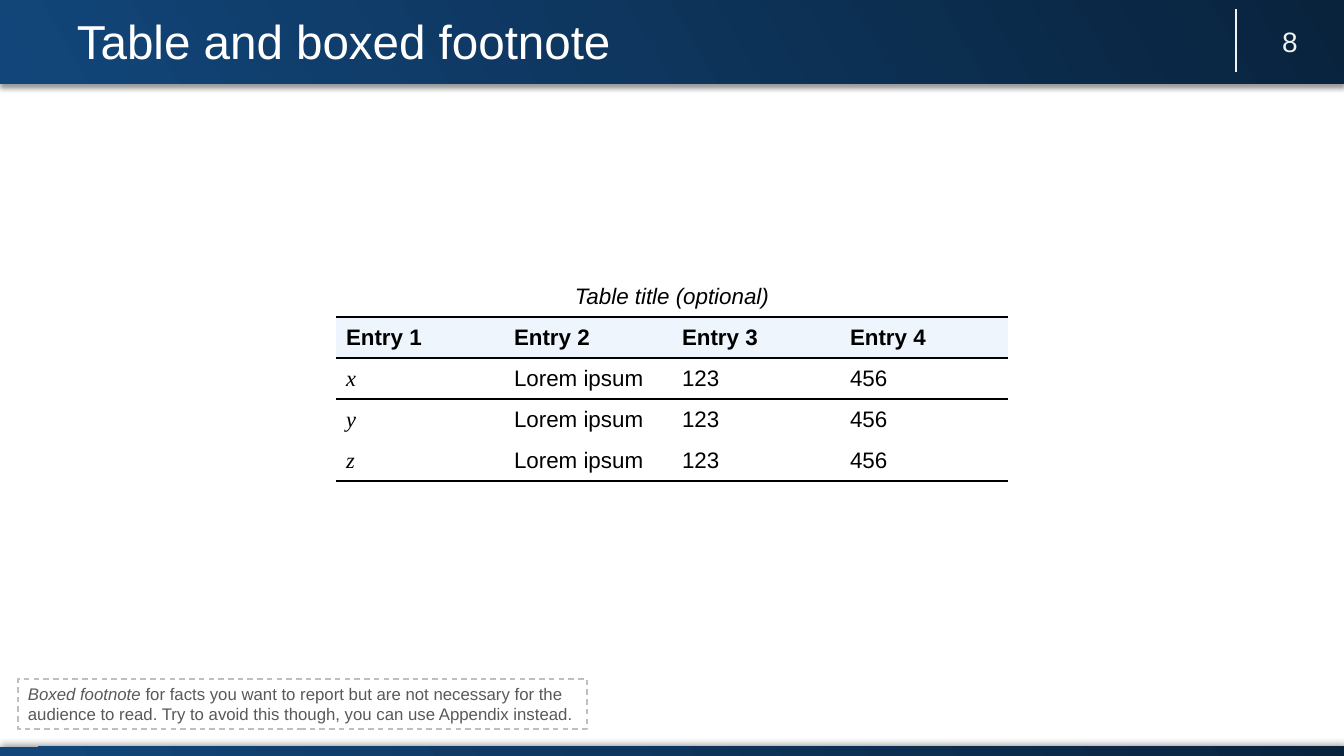
from lxml import etree
from pptx import Presentation
from pptx.dml.color import RGBColor
from pptx.enum.dml import MSO_LINE
from pptx.enum.shapes import MSO_CONNECTOR, MSO_SHAPE
from pptx.enum.text import MSO_ANCHOR, PP_ALIGN
from pptx.oxml import parse_xml
from pptx.oxml.ns import nsdecls, qn
from pptx.util import Pt

TITLE = "Table and boxed footnote"
PAGE = "8"
TABLE_TITLE = "Table title (optional)"
HEADERS = ["Entry 1", "Entry 2", "Entry 3", "Entry 4"]
ROWS = [[name, "Lorem ipsum", "123", "456"] for name in "xyz"]
FOOTNOTE = [
    ("Boxed footnote", True),
    (" for facts you want to report but are not necessary for the audience to read."
     " Try to avoid this though, you can use Appendix instead.", False),
]

SANS, SERIF = "Arial", "Times New Roman"
WHITE = RGBColor(0xFF, 0xFF, 0xFF)
BLACK = RGBColor(0, 0, 0)
BLUE = RGBColor(0x12, 0x46, 0x7A)
NAVY = RGBColor(0x09, 0x23, 0x3D)
PALE_BLUE = RGBColor(0xEE, 0xF5, 0xFC)
PALE_GRAY = RGBColor(0xF2, 0xF2, 0xF2)
BOX_GRAY = RGBColor(0xBF, 0xBF, 0xBF)
TEXT_GRAY = RGBColor(0x59, 0x59, 0x59)
DASH = MSO_LINE.DASH
LEFT, CENTER = PP_ALIGN.LEFT, PP_ALIGN.CENTER
TOP, MIDDLE = MSO_ANCHOR.TOP, MSO_ANCHOR.MIDDLE
NO_STYLE = "{2D5ABB26-0587-4C30-8999-92F81FD0307C}"

PX = 914400 / 100.8
WIDTH, HEIGHT = 1344, 756
COL_W, ROW_H = 168, 41
TABLE_X, TABLE_Y = (WIDTH - COL_W * len(HEADERS)) // 2, 276


def px(*values):
    return [round(v * PX) for v in values]


def style(r, size, color, name=SANS, bold=False, italic=False):
    f = r.font
    f.size, f.name, f.bold, f.italic = Pt(size), name, bold, italic
    f.color.rgb = color


def add_bar(slide, y, h, shadow_angle):
    """Full-width gradient band with a soft shadow."""
    sp = slide.shapes.add_shape(MSO_SHAPE.RECTANGLE, *px(0, y, WIDTH, h))
    sp.line.fill.background()
    sp.fill.gradient()
    sp.fill.gradient_angle = 330
    for stop, color, position in zip(sp.fill.gradient_stops, (BLUE, NAVY), (0, 1)):
        stop.color.rgb, stop.position = color, position
    props = sp._element.spPr
    props.find(qn("a:xfrm")).set("flipV", "1")
    props.append(parse_xml(
        f'<a:effectLst {nsdecls("a")}><a:outerShdw blurRad="{Pt(4)}" dist="{Pt(3)}"'
        f' dir="{shadow_angle * 60000}" algn="t" rotWithShape="0"><a:srgbClr val="000000">'
        '<a:alpha val="40000"/></a:srgbClr></a:outerShdw></a:effectLst>'))


def add_label(slide, box, text, size, color, align):
    tf = slide.shapes.add_textbox(*px(*box)).text_frame
    tf.word_wrap, tf.vertical_anchor = True, MIDDLE
    p = tf.paragraphs[0]
    p.text, p.alignment = text, align
    style(p.runs[0], size, color)
    return p


def add_border(cell, side):
    """Draw a black 1 pt rule on the side named lnT or lnB."""
    cell._tc.get_or_add_tcPr().insert(0, parse_xml(
        f'<a:{side} {nsdecls("a")} w="{Pt(1)}"><a:solidFill><a:srgbClr val="{BLACK}"/>'
        f'</a:solidFill></a:{side}>'))


def fill_cell(cell, text, align=LEFT, **font):
    cell.vertical_anchor = MIDDLE
    p = cell.text_frame.paragraphs[0]
    p.text, p.alignment = text, align
    style(p.runs[0], 16, BLACK, **font)


def add_entry_table(slide):
    grid = [HEADERS, *ROWS]
    n_rows, n_cols = len(grid) + 1, len(HEADERS)
    frame = slide.shapes.add_table(
        n_rows, n_cols, *px(TABLE_X, TABLE_Y, COL_W * n_cols, ROW_H * n_rows))
    table = frame.table
    table.first_row = table.horz_banding = False
    table._tbl.tblPr.find(qn("a:tableStyleId")).text = NO_STYLE
    for row in table.rows:
        row.height = px(ROW_H)[0]
    for i in range(n_rows):
        for j in range(n_cols):
            cell = table.cell(i, j)
            cell.fill.background()
            if i in (0, 1, n_rows - 1):
                add_border(cell, "lnB")
            if i in (1, 2):
                add_border(cell, "lnT")
            if i == 1:
                cell.fill.solid()
                cell.fill.fore_color.rgb = PALE_BLUE
                fill_cell(cell, HEADERS[j], bold=True)
            elif i > 1:
                symbol = j == 0
                fill_cell(cell, grid[i - 1][j], name=SERIF if symbol else SANS, italic=symbol)
    table.cell(0, 0).merge(table.cell(0, n_cols - 1))
    fill_cell(table.cell(0, 0), TABLE_TITLE, CENTER, italic=True)


def add_footnote(slide):
    sp = slide.shapes.add_shape(MSO_SHAPE.RECTANGLE, *px(18, 679, 569, 50))
    sp.shadow.inherit = False
    sp.fill.solid()
    sp.fill.fore_color.rgb = WHITE
    sp.line.color.rgb, sp.line.width, sp.line.dash_style = BOX_GRAY, Pt(1), DASH
    tf = sp.text_frame
    tf.word_wrap, tf.vertical_anchor = True, TOP
    p = tf.paragraphs[0]
    p.alignment = LEFT
    for text, italic in FOOTNOTE:
        r = p.add_run()
        r.text = text
        style(r, 12, TEXT_GRAY, italic=italic)


def main():
    prs = Presentation()
    prs.slide_width, prs.slide_height = px(WIDTH, HEIGHT)
    slide = prs.slides.add_slide(prs.slide_layouts[6])
    add_bar(slide, 0, 84, 90)
    add_bar(slide, 747, 9, 270)
    divider = slide.shapes.add_connector(MSO_CONNECTOR.STRAIGHT, *px(1236, 9, 1236, 72))
    divider.line.color.rgb, divider.line.width = PALE_GRAY, Pt(1.5)
    etree.SubElement(divider._element.spPr, qn("a:effectLst"))
    title = add_label(slide, (67, 8, 1129, 72), TITLE, 34, WHITE, LEFT)
    title.line_spacing = 0.9
    add_label(slide, (1236, 21, 108, 40), PAGE, 20, PALE_GRAY, CENTER)
    add_entry_table(slide)
    add_footnote(slide)
    prs.save("out.pptx")


if __name__ == "__main__":
    main()
